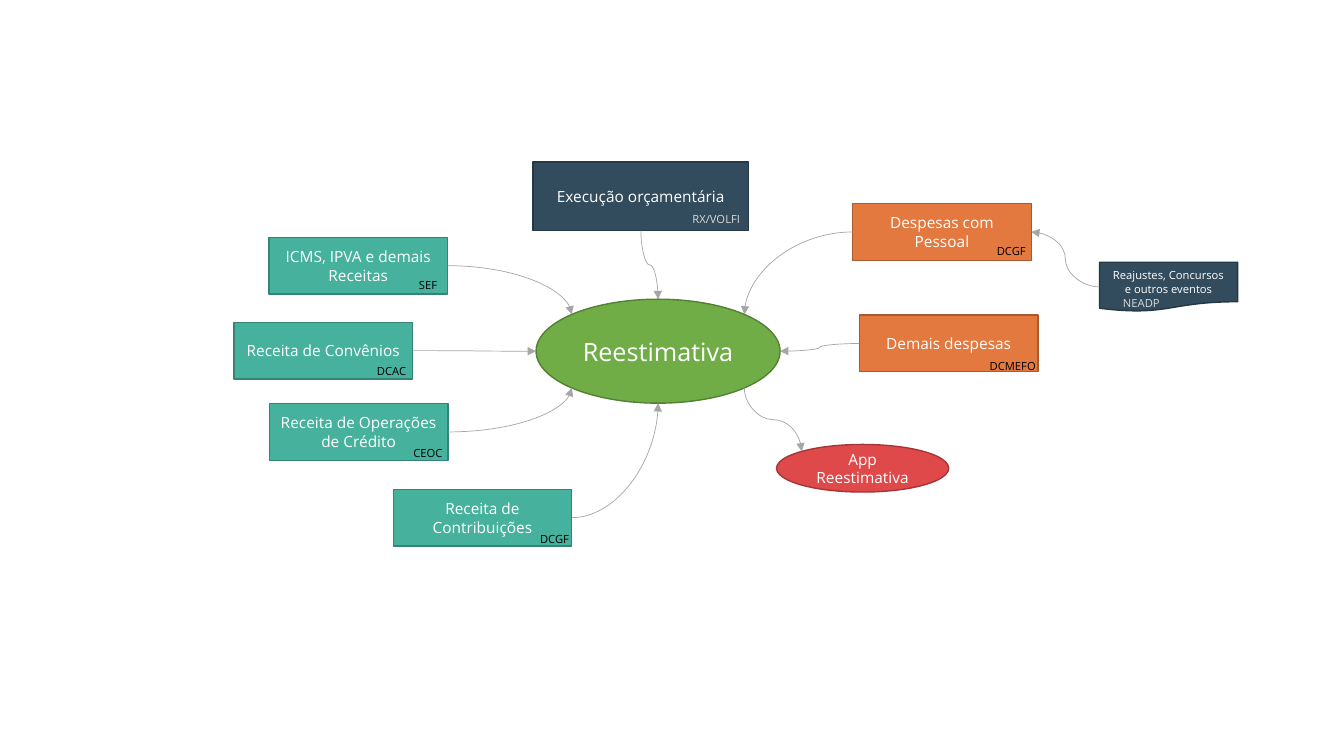
from lxml.etree import SubElement
from pptx import Presentation
from pptx.dml.color import RGBColor
from pptx.enum.shapes import MSO_CONNECTOR, MSO_SHAPE
from pptx.enum.text import MSO_ANCHOR, PP_ALIGN
from pptx.oxml.ns import qn
from pptx.util import Cm, Pt

WHITE = RGBColor(0xFF, 0xFF, 0xFF)
BLACK = RGBColor(0x00, 0x00, 0x00)
PALE = RGBColor(0xD9, 0xD9, 0xD9)
GREY = RGBColor(0xA6, 0xA6, 0xA6)
# Fill and outline of each kind of node
NAVY = RGBColor(0x32, 0x4C, 0x5D), RGBColor(0x25, 0x38, 0x45)
TEAL = RGBColor(0x46, 0xB1, 0x9D), RGBColor(0x34, 0x83, 0x74)
ORANGE = RGBColor(0xE3, 0x79, 0x3F), RGBColor(0xA8, 0x5A, 0x2F)
GREEN = RGBColor(0x70, 0xAD, 0x47), RGBColor(0x53, 0x80, 0x35)
RED = RGBColor(0xDF, 0x49, 0x4A), RGBColor(0xA5, 0x36, 0x37)

FONT = "Open Sans"
DIAGONAL = 0.3536  # offset of an ellipse's diagonal sites, as a share of its size
NEAR, FAR = 0.5 - DIAGONAL, 0.5 + DIAGONAL
# Connection sites: index, share of width, share of height
BOX_SITES = {"left": (1, 0, 0.5), "bottom": (2, 0.5, 1), "right": (3, 1, 0.5)}
OVAL_SITES = {
    "top": (0, 0.5, 0), "top left": (1, NEAR, NEAR), "left": (2, 0, 0.5),
    "bottom left": (3, NEAR, FAR), "bottom": (4, 0.5, 1),
    "bottom right": (5, FAR, FAR), "right": (6, 1, 0.5), "top right": (7, FAR, NEAR),
}


def write(frame, text, size, color):
    """Add one run of text to the first paragraph of a frame."""
    run = frame.paragraphs[0].add_run()
    run.text = text
    run.font.name = FONT
    run.font.size = Pt(size)
    run.font.color.rgb = color


def add_node(slide, box, label, colors, outline=MSO_SHAPE.RECTANGLE, size=11):
    """Draw a labelled node in box (left, top, width, height in cm)."""
    node = slide.shapes.add_shape(outline, *map(Cm, box))
    node.shadow.inherit = False
    node.fill.solid()
    node.fill.fore_color.rgb, node.line.color.rgb = colors
    node.line.width = Pt(1)
    frame = node.text_frame
    frame.word_wrap = True
    frame.vertical_anchor = MSO_ANCHOR.MIDDLE
    frame.paragraphs[0].alignment = PP_ALIGN.CENTER
    write(frame, label, size, WHITE)
    return node


def add_owner(slide, box, owner, offset, width, color=BLACK):
    """Name the responsible unit at an offset within its node's box."""
    left, top = box[0] + offset[0], box[1] + offset[1]
    tag = slide.shapes.add_textbox(Cm(left), Cm(top), Cm(width), Cm(0.61))
    tag.text_frame.word_wrap = False
    write(tag.text_frame, owner, 8, color)


def site_point(node, site):
    """Return the slide position of a connection site."""
    _, across, down = site
    return round(node.left + across * node.width), round(node.top + down * node.height)


def add_flow(slide, source, start, target, end, bends=3, downward=False):
    """Link two nodes by a curved arrow glued to their sites."""
    x1, y1 = site_point(source, start)
    x2, y2 = site_point(target, end)
    flow = slide.shapes.add_connector(MSO_CONNECTOR.CURVE, x1, y1, x2, y2)
    properties = flow._element.spPr
    properties.find(qn("a:prstGeom")).set("prst", f"curvedConnector{bends}")
    if downward:
        # Turned a quarter so that the curve leaves its source vertically
        flow.width, flow.height = y2 - y1, x2 - x1
        flow.left = (x1 + x2 - flow.width) // 2
        flow.top = (y1 + y2 - flow.height) // 2
        frame = properties.find(qn("a:xfrm"))
        frame.set("rot", "16200000")
        frame.set("flipH", "1")
    flow.line.color.rgb = GREY
    flow.line.width = Pt(0.5)
    SubElement(properties.find(qn("a:ln")), qn("a:tailEnd"), type="triangle")
    SubElement(properties, qn("a:effectLst"))
    glue = flow._element.find(".//" + qn("p:cNvCxnSpPr"))
    for name, node, site in (("stCxn", source, start), ("endCxn", target, end)):
        SubElement(glue, qn(f"a:{name}"), id=str(node.shape_id), idx=str(site[0]))


def add_revenues(slide, center):
    """Draw the revenue sources and their flows into the center."""
    revenues = [
        ((6.78, 5.98), "ICMS, IPVA e demais Receitas", "SEF", (3.53, 0.9), 0.97, "top left", 2),
        ((5.9, 8.12), "Receita de Convênios", "DCAC", (3.35, 0.94), 1.27, "left", 3),
        ((6.79, 10.17), "Receita de Operações de Crédito", "CEOC", (3.38, 0.94), 1.24,
         "bottom left", 2),
        ((9.91, 12.33), "Receita de Contribuições", "DCGF", (3.45, 0.96), 1.24, "bottom", 2),
    ]
    for corner, label, owner, offset, width, end, bends in revenues:
        box = (*corner, 4.5, 1.43)
        revenue = add_node(slide, box, label, TEAL)
        add_owner(slide, box, owner, offset, width)
        add_flow(slide, revenue, BOX_SITES["right"], center, OVAL_SITES[end], bends)


def add_expenses(slide, center):
    """Draw the expenses, their flows and the events behind payroll."""
    expenses = [
        ((21.49, 5.13), "Despesas com Pessoal", "DCGF", (3.38, 0.91), 1.24, "top right", 2),
        ((21.66, 7.94), "Demais despesas", "DCMEFO", (3.03, 0.99), 1.68, "right", 3),
    ]
    nodes = []
    for corner, label, owner, offset, width, end, bends in expenses:
        box = (*corner, 4.5, 1.43)
        expense = add_node(slide, box, label, ORANGE)
        add_owner(slide, box, owner, offset, width)
        add_flow(slide, expense, BOX_SITES["left"], center, OVAL_SITES[end], bends)
        nodes.append(expense)
    payroll = nodes[0]
    box = (27.71, 6.61, 3.48, 1.24)
    events = add_node(slide, box, "Reajustes, Concursos e outros eventos", NAVY,
                      MSO_SHAPE.FLOWCHART_DOCUMENT, 8)
    add_owner(slide, box, "NEADP", (0.34, 0.73), 1.45, PALE)
    add_flow(slide, events, BOX_SITES["left"], payroll, BOX_SITES["right"])


def add_budget(slide, center, box):
    """Draw the budget execution above the center."""
    budget = add_node(slide, box, "Execução orçamentária", NAVY)
    add_owner(slide, box, "RX/VOLFI", (3.77, 1.14), 1.78, PALE)
    add_flow(slide, budget, BOX_SITES["bottom"], center, OVAL_SITES["top"], downward=True)


def add_app(slide, center, box):
    """Draw the app fed by the center."""
    app = add_node(slide, box, "App Reestimativa", RED, MSO_SHAPE.OVAL)
    add_flow(slide, center, OVAL_SITES["bottom right"], app, OVAL_SITES["top left"],
             downward=True)


def main():
    """Build the re-estimate flow and save it."""
    deck = Presentation()
    deck.slide_width, deck.slide_height = Cm(33.87), Cm(19.05)
    slide = deck.slides.add_slide(deck.slide_layouts[6])
    center = add_node(slide, (13.51, 7.54, 6.15, 2.62), "Reestimativa", GREEN,
                      MSO_SHAPE.OVAL, 18)
    add_budget(slide, center, (13.43, 4.08, 5.44, 1.73))
    add_revenues(slide, center)
    add_expenses(slide, center)
    add_app(slide, center, (19.57, 11.2, 4.34, 1.2))
    deck.save("out.pptx")


main()
